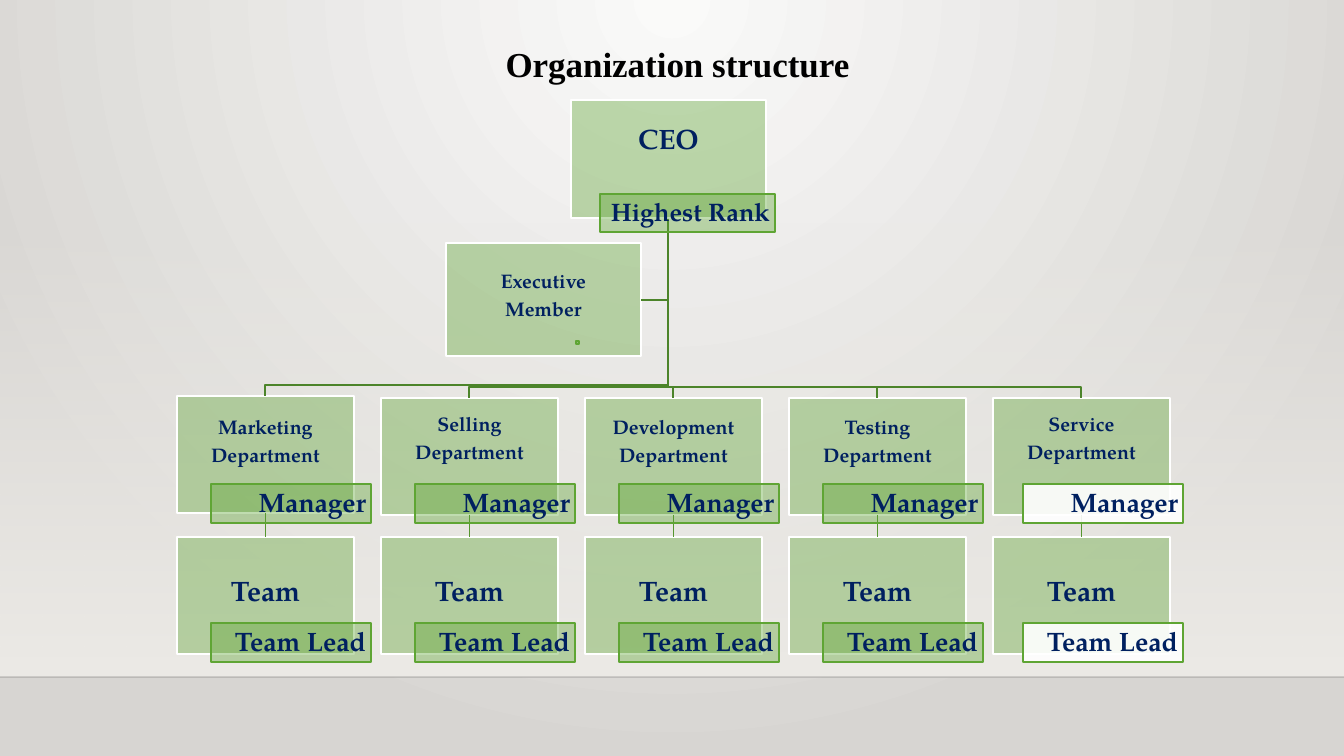
from lxml.etree import SubElement
from pptx import Presentation
from pptx.dml.color import RGBColor as RGB
from pptx.enum.shapes import MSO_CONNECTOR as LINE, MSO_SHAPE as SHAPE
from pptx.enum.text import MSO_ANCHOR as ANCHOR, PP_ALIGN as ALIGN
from pptx.oxml.ns import qn
from pptx.util import Pt

PX = 914400 / 100.8
COLORS = {
    "glow": "FAFAF9", "wall": "D7D5D2", "haze": "EDEBE7", "floor": "000001",
    "green": "5FA534", "white": "FFFFFF", "navy": "002060", "black": "000000",
    "trunk": "4C842A", "branch": "56962F",
}
COLORS = {name: RGB.from_string(code) for name, code in COLORS.items()}

deck = Presentation()
deck.slide_width, deck.slide_height = round(1344 * PX), round(756 * PX)
page = deck.slides.add_slide(deck.slide_layouts[6])


def write_text(box, text, size, font="TeX Gyre Pagella", color="navy", align=ALIGN.CENTER,
               anchor=ANCHOR.MIDDLE, spacing=0.9, gap=5, insets=(1, 1, 1, 7)):
    """Insets are left, top, right and bottom in px; gap is points between lines."""
    frame = box.text_frame
    frame.word_wrap = True
    frame.vertical_anchor = anchor
    (frame.margin_left, frame.margin_top,
     frame.margin_right, frame.margin_bottom) = [round(inset * PX) for inset in insets]
    lines = text.split("\n")
    for number, line in enumerate(lines):
        para = frame.paragraphs[0] if number == 0 else frame.add_paragraph()
        para.alignment = align
        para.line_spacing = spacing
        para.space_after = Pt(gap if number < len(lines) - 1 else 0)
        span = para.add_run()
        span.text = line
        span.font.name, span.font.size, span.font.bold = font, Pt(size), True
        span.font.color.rgb = COLORS[color]


def add_box(left, top, width, height, fill="green", opacity=39, line="white"):
    box = page.shapes.add_shape(SHAPE.RECTANGLE, *[round(v * PX) for v in (left, top, width, height)])
    box.shadow.inherit = False
    box.fill.solid()
    box.fill.fore_color.rgb = COLORS[fill]
    fill_color = box.element.spPr.find(qn("a:solidFill"))[0]
    SubElement(fill_color, qn("a:alpha"), val=str(opacity * 1000))
    box.line.color.rgb = COLORS[line]
    box.line.width = Pt(1.25)
    return box


# Background: a round glow from the top centre
backdrop = page.background.fill
backdrop.gradient()
for stop, name, position in zip(backdrop.gradient_stops, ("glow", "wall"), (0, 1)):
    stop.color.rgb = COLORS[name]
    stop.position = position
gradient = next(page.element.iter(qn("a:gradFill")))
gradient.remove(gradient.find(qn("a:lin")))
glow_path = SubElement(gradient, qn("a:path"), path="circle")
SubElement(glow_path, qn("a:fillToRect"), l="43000", t="0", r="43000", b="100000")

# Haze that fades in towards the floor
haze = page.shapes.add_shape(SHAPE.RECTANGLE, 0, round(222 * PX), deck.slide_width, round(455 * PX))
haze.shadow.inherit = False
haze.line.fill.background()
haze.fill.gradient()
haze.fill.gradient_angle = 270
for position, stop in enumerate(haze.fill.gradient_stops):
    stop.color.rgb = COLORS["haze"]
    stop.position = position
SubElement(next(haze.element.iter(qn("a:srgbClr"))), qn("a:alpha"), val="0")

# Floor line
floor = page.shapes.add_connector(LINE.STRAIGHT, 0, round(677 * PX), deck.slide_width, round(677 * PX))
floor.line.color.rgb = COLORS["floor"]
floor.line.width = Pt(1)
SubElement(next(floor.element.spPr.iter(qn("a:srgbClr"))), qn("a:alpha"), val="20000")
SubElement(floor.element.spPr, qn("a:effectLst"))

# Title
title = page.shapes.add_textbox(*[round(v * PX) for v in (49, 17, 1257, 67)])
write_text(title, "Organization structure", 25, font="Times New Roman", color="black",
           anchor=ANCHOR.TOP, spacing=1.5, insets=(10, 5, 10, 5))

# Leadership boxes
ceo = add_box(571, 100, 195, 118)
write_text(ceo, "CEO", 20, insets=(1, 1, 1, 38))
executive = add_box(446, 243, 195, 113)
write_text(executive, "Executive\nMember", 14)
add_box(576, 341, 3, 3, line="green")

# Departments and teams: name, top, bottom inset that lifts the name
departments = [("Marketing", 396, 26), ("Selling", 398, 35), ("Development", 398, 29),
               ("Testing", 398, 29), ("Service", 398, 35)]
TRUNK_X, TRUNK_TOP = 668, 219
routes = [[(TRUNK_X, 300), (641, 300)]]
tags = [("Highest Rank", 18, 600, 194, 175, 38, "green", 39)]
for column, (name, top, lift) in enumerate(departments):
    left = 177 + 204 * column
    center = left + 88
    department = add_box(left, top, 177, 117)
    write_text(department, f"{name}\nDepartment", 14, insets=(1, 1, 1, lift))
    team = add_box(left, 537, 177, 117)
    write_text(team, "Team", 20)

    branch = page.shapes.add_connector(LINE.STRAIGHT, 0, 0, 0, 0)
    branch.begin_connect(department, 2)
    branch.end_connect(team, 0)
    branch.line.color.rgb = COLORS["branch"]
    branch.line.width = Pt(1.25)
    SubElement(branch.element.spPr, qn("a:effectLst"))

    routes.append([(TRUNK_X, top - 11), (center, top - 11), (center, top)])
    is_last = column == len(departments) - 1
    offset, fill, opacity = (30, "white", 90) if is_last else (34, "green", 39)
    for label, tag_top in (("Manager", 484), ("Team Lead", 623)):
        tags.append((label, 19, left + offset, tag_top, 160, 39, fill, opacity))

# Bent lines from the CEO
for route in routes:
    builder = page.shapes.build_freeform(TRUNK_X, TRUNK_TOP, scale=PX)
    builder.add_line_segments(route, close=False)
    bend = builder.convert_to_shape()
    bend.shadow.inherit = False
    bend.fill.background()
    bend.line.color.rgb = COLORS["trunk"]
    bend.line.width = Pt(1.25)

# Role tags on top of the lines
for label, size, left, top, width, height, fill, opacity in tags:
    tag = add_box(left, top, width, height, fill, opacity, line="green")
    write_text(tag, label, size, align=ALIGN.RIGHT, insets=(5, 1, 5, 1))

deck.save("out.pptx")
